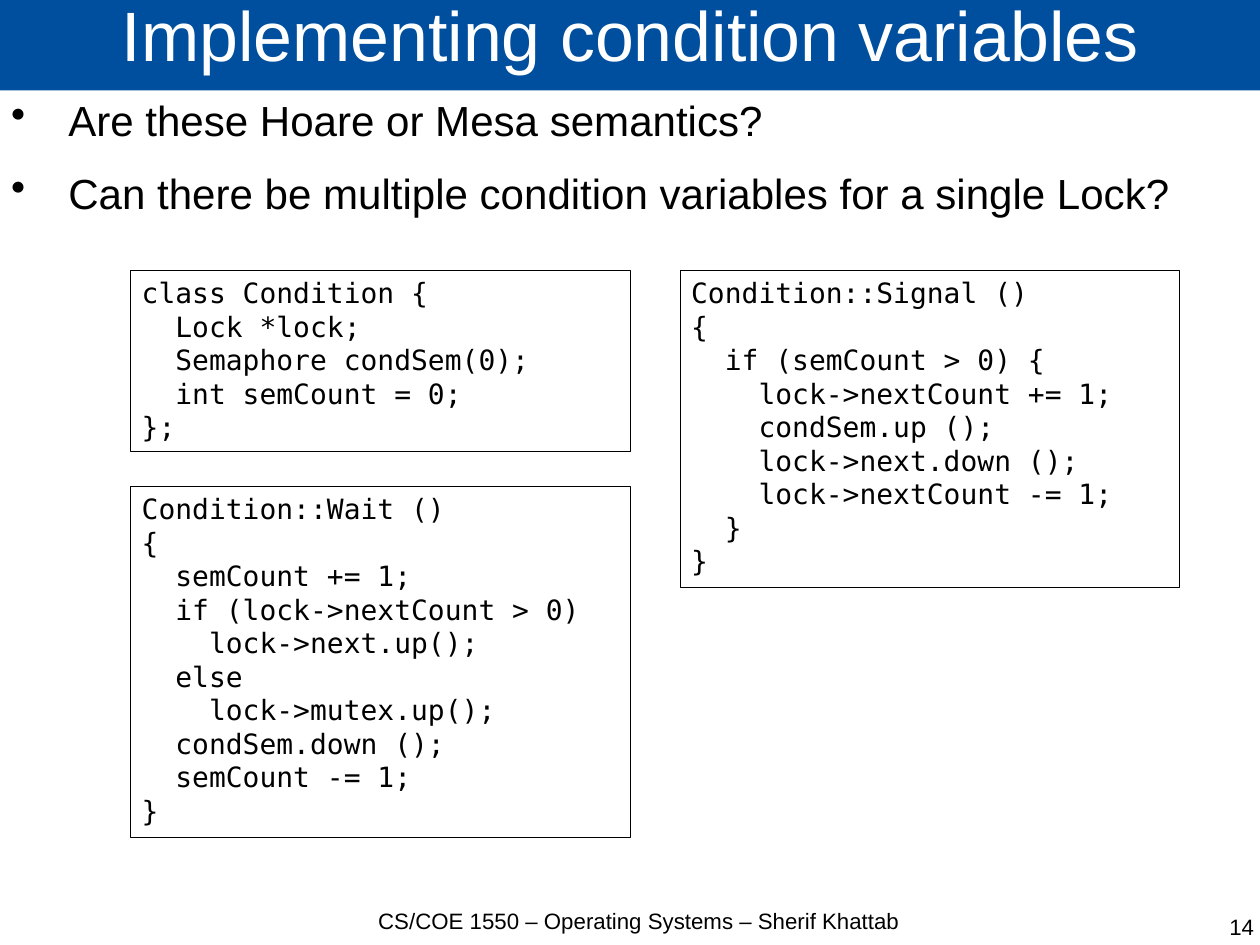
from lxml import etree
from pptx import Presentation
from pptx.dml.color import RGBColor
from pptx.enum.shapes import MSO_SHAPE
from pptx.enum.text import MSO_ANCHOR, MSO_AUTO_SIZE, PP_ALIGN
from pptx.oxml.ns import qn
from pptx.util import Cm, Pt

RECT = MSO_SHAPE.RECTANGLE
TOP, MIDDLE = MSO_ANCHOR.TOP, MSO_ANCHOR.MIDDLE
LEFT, CENTER, RIGHT = PP_ALIGN.LEFT, PP_ALIGN.CENTER, PP_ALIGN.RIGHT
GROW = MSO_AUTO_SIZE.SHAPE_TO_FIT_TEXT

BLACK, WHITE, BLUE = "000000", "FFFFFF", "004F9E"
SANS, MONO = "Arial", "DejaVu Sans Mono"
COL_ONE, COL_TWO = 2.9, 15.11

TOPICS = [
    "Are these Hoare or Mesa semantics?",
    "Can there be multiple condition variables for a single Lock?",
]
CLASS = """class Condition {
  Lock *lock;
  Semaphore condSem(0);
  int semCount = 0;
};"""
WAIT = """Condition::Wait ()
{
  semCount += 1;
  if (lock->nextCount > 0)
    lock->next.up();
  else
    lock->mutex.up();
  condSem.down ();
  semCount -= 1;
}"""
SIGNAL = """Condition::Signal ()
{
  if (semCount > 0) {
    lock->nextCount += 1;
    condSem.up ();
    lock->next.down ();
    lock->nextCount -= 1;
  }
}"""


def color(code):
    return RGBColor.from_string(code)


def write(shape, lines, size, font=SANS, ink=BLACK, align=LEFT, anchor=TOP):
    """Put one paragraph per line into the shape and return its text frame."""
    frame = shape.text_frame
    frame.word_wrap = True
    frame.vertical_anchor = anchor
    for i, line in enumerate(lines):
        par = frame.add_paragraph() if i else frame.paragraphs[0]
        par.text = line
        par.alignment = align
        par.font.size = Pt(size)
        par.font.name = font
        par.font.color.rgb = color(ink)
    return frame


def trim(frame):
    """Remove the inner margins."""
    frame.margin_left = frame.margin_right = 0
    frame.margin_top = frame.margin_bottom = 0


def add_rect(slide, x, y, w, h):
    rect = slide.shapes.add_shape(RECT, Cm(x), Cm(y), Cm(w), Cm(h))
    rect.shadow.inherit = False
    return rect


def add_title(slide, text):
    bar = add_rect(slide, 0, -0.05, 28.04, 2.06)
    bar.fill.solid()
    bar.fill.fore_color.rgb = color(BLUE)
    bar.line.fill.background()
    frame = write(bar, [text], 44, ink=WHITE, align=CENTER, anchor=MIDDLE)
    trim(frame)
    frame.paragraphs[0].line_spacing = 0.69


def add_bullets(slide, lines):
    box = slide.shapes.add_textbox(Cm(0), Cm(1.98), Cm(28.04), Cm(18.24))
    for par in write(box, lines, 26.5).paragraphs:
        par.space_after = Pt(14.2)
        props = par._p.get_or_add_pPr()
        props.set("marL", str(Cm(1.27)))
        props.set("indent", str(-Cm(1.27)))
        mark = etree.Element(qn("a:buChar"), char="•")
        props.find(qn("a:spcAft")).addnext(mark)


def add_code(slide, code, x, y, h):
    panel = add_rect(slide, x, y, 11.1, h)
    panel.fill.background()
    panel.line.color.rgb = color(BLACK)
    panel.line.width = Pt(0.5)
    frame = write(panel, code.split("\n"), 17.6, MONO)
    frame.auto_size = GROW


def add_footer(slide, text, x, y, w, align):
    box = slide.shapes.add_textbox(Cm(x), Cm(y), Cm(w), Cm(0.7))
    trim(write(box, [text], 14, align=align))


def main():
    deck = Presentation()
    deck.slide_width, deck.slide_height = Cm(28), Cm(21)
    slide = deck.slides.add_slide(deck.slide_layouts[6])

    add_title(slide, "Implementing condition variables")
    add_bullets(slide, TOPICS)
    add_footer(slide, "CS/COE 1550 – Operating Systems – Sherif Khattab",
               7.8, 20.17, 12.8, CENTER)
    add_footer(slide, "14", 21.44, 20.3, 6.43, RIGHT)
    add_code(slide, CLASS, COL_ONE, 6, 4.04)
    add_code(slide, WAIT, COL_ONE, 10.8, 7.8)
    add_code(slide, SIGNAL, COL_TWO, 6, 7.06)

    deck.save("out.pptx")


if __name__ == "__main__":
    main()
